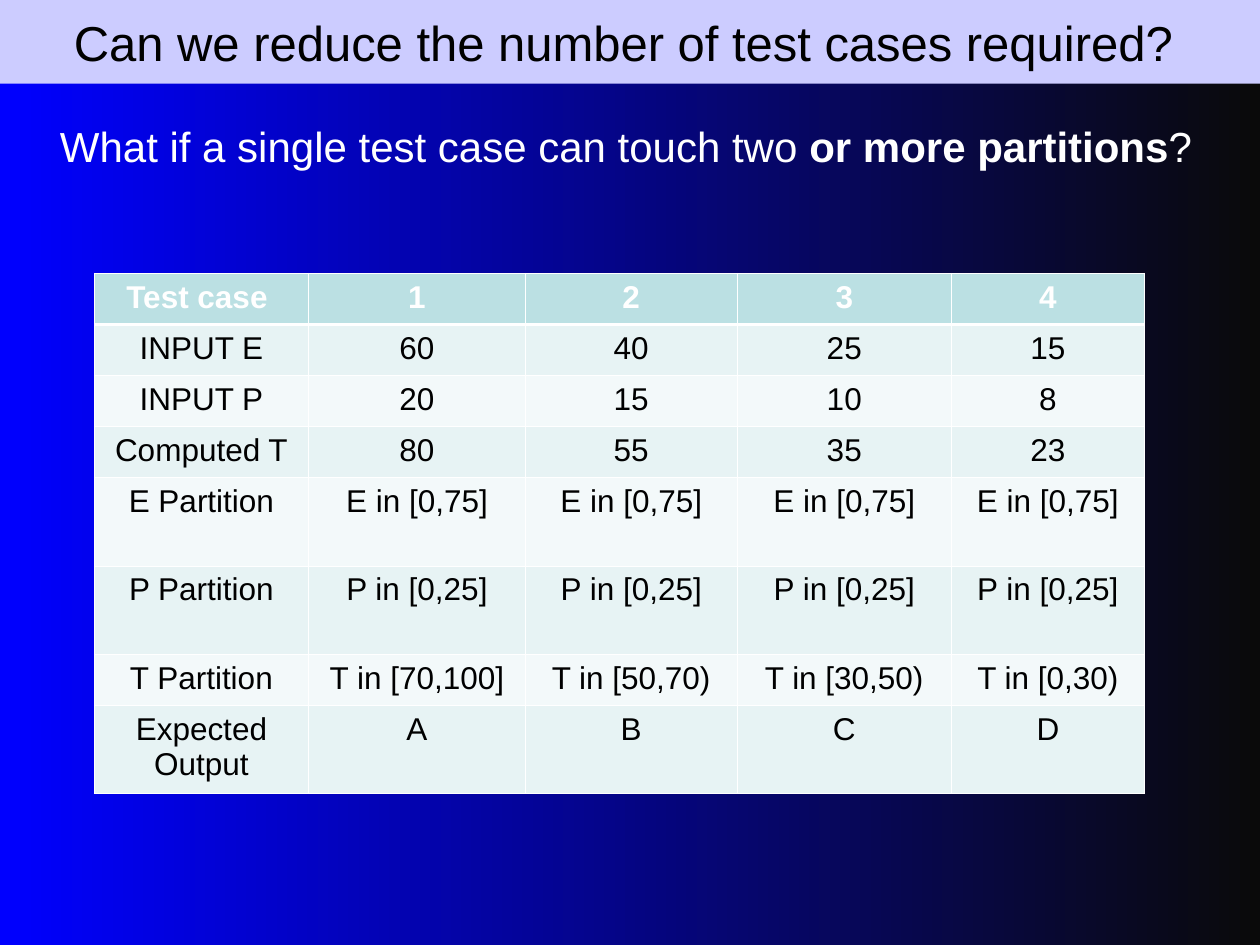
"""Build a slide with a table of test cases that cover several partitions."""
from lxml.etree import SubElement
from pptx import Presentation
from pptx.dml.color import RGBColor
from pptx.enum.shapes import MSO_SHAPE
from pptx.enum.text import MSO_ANCHOR, MSO_AUTO_SIZE, PP_ALIGN
from pptx.oxml.ns import qn
from pptx.util import Cm, Pt

TITLE = "Can we reduce the number of test cases required? "
QUESTION = [
    ("What if a single test case can touch two ", False),
    ("or more partitions", True),
    ("?", False),
]
ROWS = [
    ("Test case ", "1", "2", "3", "4"),
    ("INPUT E", "60", "40", "25", "15"),
    ("INPUT P", "20", "15", "10", "8"),
    ("Computed T", "80", "55", "35", "23"),
    ("E Partition", *["E in [0,75]"] * 4),
    ("P Partition", *["P in [0,25]"] * 4),
    ("T Partition", "T in [70,100]", "T in [50,70)", "T in [30,50)", "T in [0,30)"),
    ("Expected Output", "A", "B", "C", "D"),
]
COLUMN_WIDTHS = [4.32, 4.37, 4.27, 4.32, 3.89]
SHORT_ROW, TALL_ROW = 1.03, 1.78
TALL_LABELS = {"E Partition", "P Partition", "Expected Output"}

FONT = "Arial"
BLACK = RGBColor(0x00, 0x00, 0x00)
WHITE = RGBColor(0xFF, 0xFF, 0xFF)
LAVENDER = RGBColor(0xCC, 0xCC, 0xFF)
BLUE = RGBColor(0x00, 0x00, 0xFF)
NEAR_BLACK = RGBColor(0x0A, 0x0A, 0x0A)
HEADER_TEAL = RGBColor(0xBB, 0xE0, 0xE3)
BANDS = [RGBColor(0xF3, 0xF9, 0xFA), RGBColor(0xE7, 0xF3, 0xF4)]
THIN, THICK = Pt(0.45), Pt(1.47)


def add_span(para, text, size, color, bold=False):
    span = para.add_run()
    span.text = text
    span.font.name = FONT
    span.font.size = Pt(size)
    span.font.bold = bold
    span.font.color.rgb = color


def set_borders(cell, top, bottom):
    properties = cell._tc.get_or_add_tcPr()
    for side, width in (("L", THIN), ("R", THIN), ("T", top), ("B", bottom)):
        line = SubElement(properties, qn(f"a:ln{side}"), w=str(int(width)))
        fill = SubElement(line, qn("a:solidFill"))
        SubElement(fill, qn("a:srgbClr"), val=str(WHITE))


def set_background(page):
    fill = page.background.fill
    fill.gradient()
    fill.gradient_angle = 0
    for stop, color, position in zip(fill.gradient_stops, (BLUE, NEAR_BLACK), (0, 1)):
        stop.color.rgb = color
        stop.position = position


def add_title(page, width):
    bar = page.shapes.add_shape(MSO_SHAPE.RECTANGLE, 0, 0, width, Cm(1.69))
    bar.shadow.inherit = False
    bar.fill.solid()
    bar.fill.fore_color.rgb = LAVENDER
    bar.line.fill.background()
    bar.text_frame.word_wrap = True
    bar.text_frame.vertical_anchor = MSO_ANCHOR.MIDDLE
    para = bar.text_frame.paragraphs[0]
    para.alignment = PP_ALIGN.CENTER
    add_span(para, TITLE, 28, BLACK)


def add_question(page):
    box = page.shapes.add_textbox(Cm(0.96), Cm(2.31), Cm(24.03), Cm(1.28))
    box.text_frame.word_wrap = False
    box.text_frame.auto_size = MSO_AUTO_SIZE.SHAPE_TO_FIT_TEXT
    for text, bold in QUESTION:
        add_span(box.text_frame.paragraphs[0], text, 24, WHITE, bold)


def add_test_table(page):
    heights = [TALL_ROW if row[0] in TALL_LABELS else SHORT_ROW for row in ROWS]
    table = page.shapes.add_table(
        len(ROWS), len(COLUMN_WIDTHS), Cm(1.9), Cm(5.51),
        Cm(sum(COLUMN_WIDTHS)), Cm(sum(heights)),
    ).table
    for column, width in zip(table.columns, COLUMN_WIDTHS):
        column.width = Cm(width)
    for row_index, (values, height) in enumerate(zip(ROWS, heights)):
        table.rows[row_index].height = Cm(height)
        header = row_index == 0
        for column_index, value in enumerate(values):
            cell = table.cell(row_index, column_index)
            set_borders(cell, THICK if row_index == 1 else THIN, THICK if header else THIN)
            cell.fill.solid()
            cell.fill.fore_color.rgb = HEADER_TEAL if header else BANDS[row_index % 2]
            para = cell.text_frame.paragraphs[0]
            para.alignment = PP_ALIGN.CENTER
            add_span(para, value, 18, WHITE if header else BLACK, header)


def main():
    deck = Presentation()
    deck.slide_width, deck.slide_height = Cm(25.4), Cm(19.05)
    page = deck.slides.add_slide(deck.slide_layouts[6])
    set_background(page)
    add_title(page, deck.slide_width)
    add_question(page)
    add_test_table(page)
    deck.save("out.pptx")


if __name__ == "__main__":
    main()
